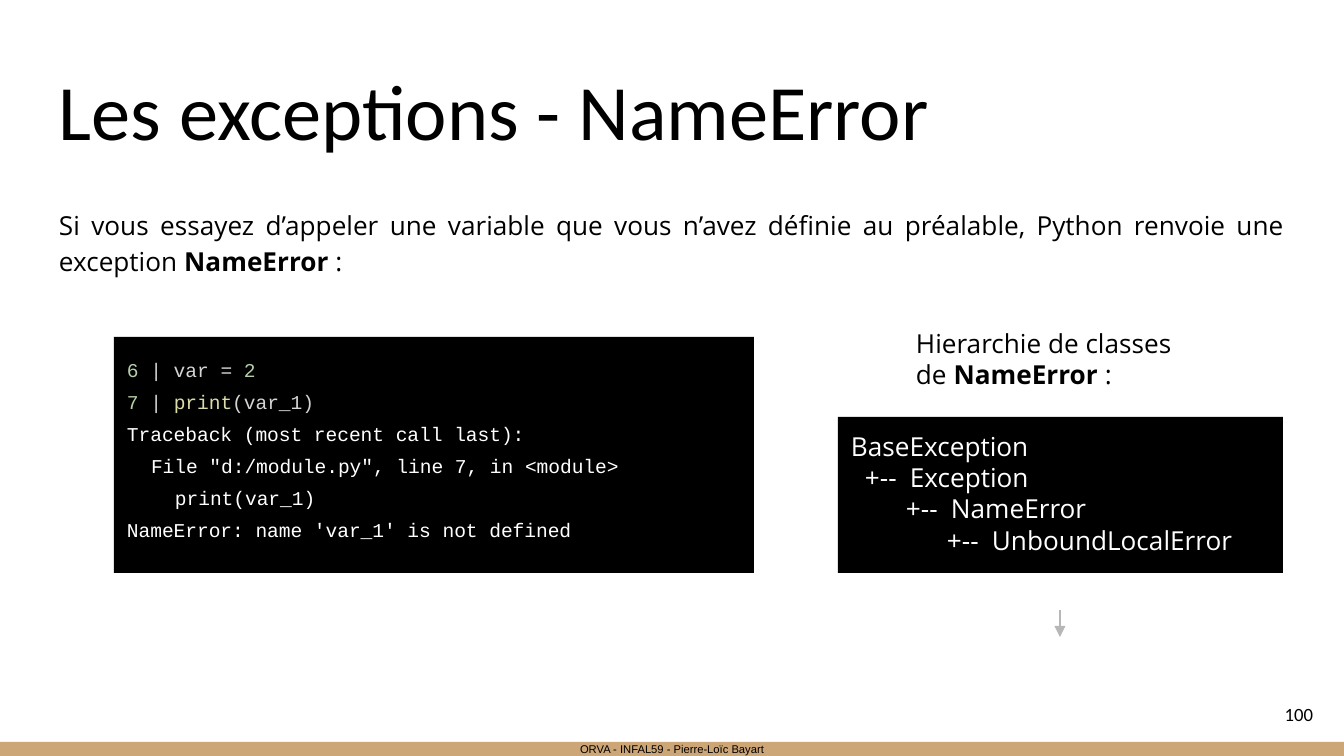
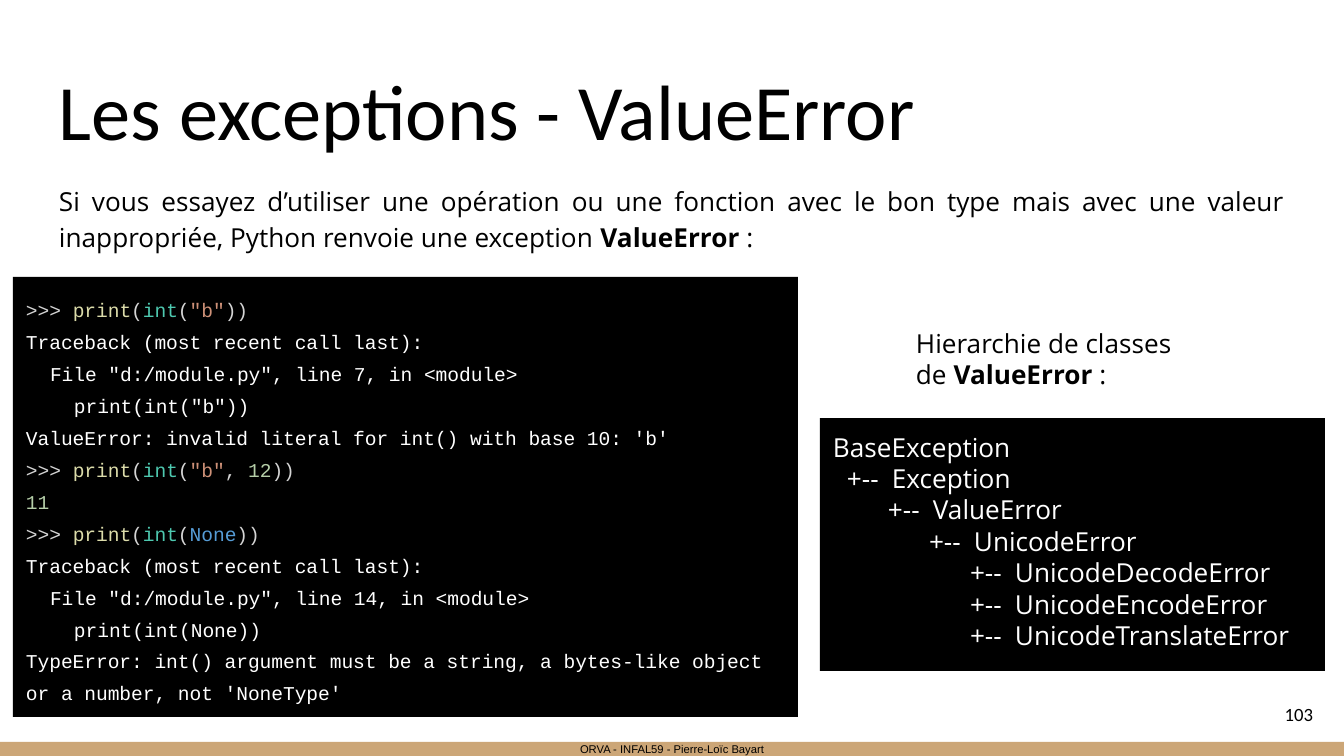
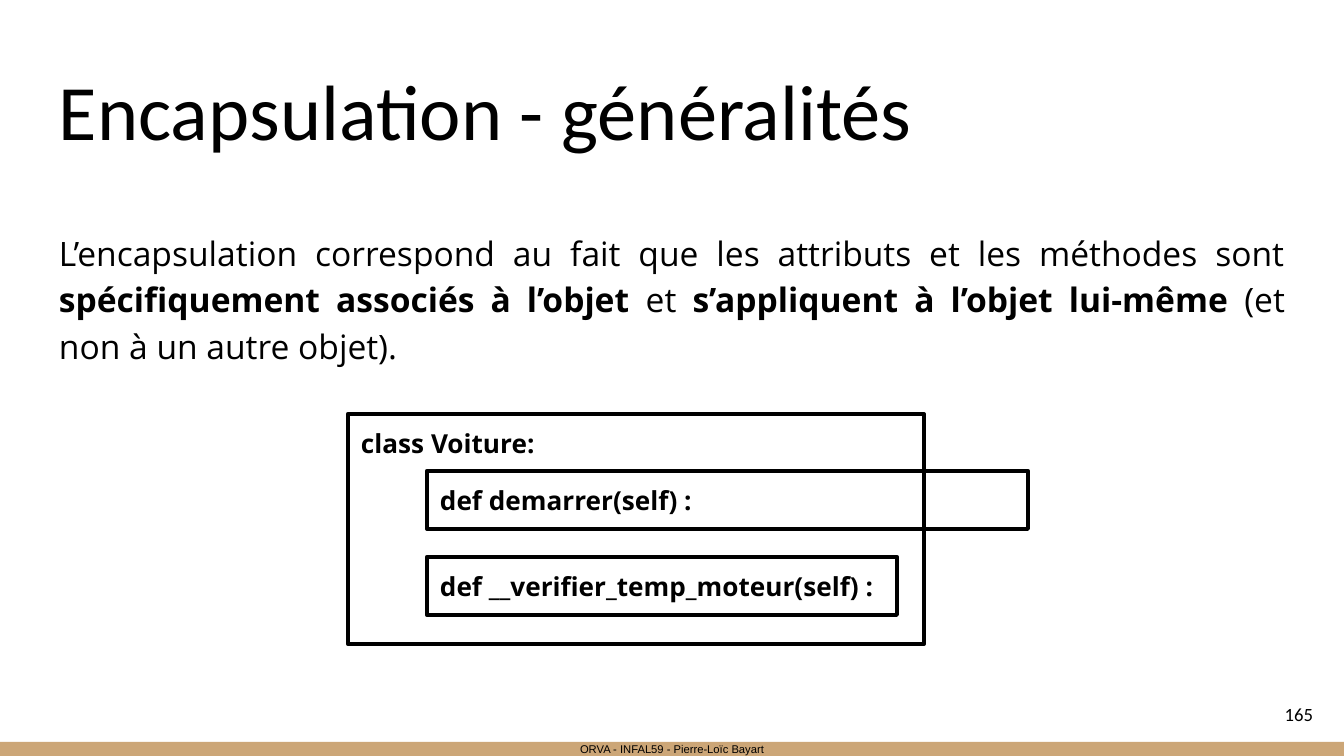
from collections import namedtuple

from lxml.etree import SubElement
from pptx import Presentation
from pptx.dml.color import RGBColor
from pptx.enum.shapes import MSO_CONNECTOR as Connector, MSO_SHAPE as Shape
from pptx.enum.text import MSO_ANCHOR as Anchor, PP_ALIGN as Align
from pptx.oxml.ns import qn
from pptx.util import Pt

EMU_PER_PX = 914400 / 134.4
SLIDE_WIDTH, SLIDE_HEIGHT = 1344, 756
INSET = 13

BLACK = RGBColor(0x00, 0x00, 0x00)
WHITE = RGBColor(0xFF, 0xFF, 0xFF)
SAND = RGBColor(0xCC, 0xA6, 0x77)
ARROW_GRAY = RGBColor(0xB7, 0xB7, 0xB7)
CODE_PLAIN = RGBColor(0xD4, 0xD4, 0xD4)
CODE_NUMBER = RGBColor(0xB5, 0xCE, 0xA8)
CODE_FUNCTION = RGBColor(0xDC, 0xDC, 0xAA)
CODE_TYPE = RGBColor(0x4E, 0xC9, 0xB0)
CODE_STRING = RGBColor(0xCE, 0x91, 0x78)
CODE_KEYWORD = RGBColor(0x56, 0x9C, 0xD6)

TITLE_FONT, BODY_FONT, CODE_FONT, FOOTER_FONT = "Calibri", "Open Sans", "Courier New", "Arial"
FOOTER = "ORVA - INFAL59 - Pierre-Loïc Bayart"

CODE_INDENT = 24
TREE_FIRST_INDENT, TREE_STEP, TREE_BRANCH = 14, 41, 45

Box = namedtuple("Box", "left top width height")
Run = namedtuple("Run", "text color bold", defaults=(None, None))
Line = namedtuple("Line", "runs indent hanging", defaults=(0, 0))


def px(length):
    return round(length * EMU_PER_PX)


def write_text(shape, lines, size=14, font=BODY_FONT, color=BLACK, bold=False,
               align=Align.LEFT, anchor=Anchor.TOP, line_spacing=1.0, space_after=0):
    frame = shape.text_frame
    frame.word_wrap = True
    frame.vertical_anchor = anchor
    frame.margin_left = frame.margin_right = px(INSET)
    frame.margin_top = frame.margin_bottom = px(INSET)
    for index, line in enumerate(lines):
        paragraph = frame.add_paragraph() if index else frame.paragraphs[0]
        paragraph.alignment = align
        paragraph.line_spacing = line_spacing
        paragraph.space_after = Pt(space_after)
        if line.indent:
            properties = paragraph._p.get_or_add_pPr()
            properties.set("marL", str(px(line.indent + line.hanging)))
            properties.set("indent", str(-px(line.hanging)))
        for part in line.runs:
            run = paragraph.add_run()
            run.text = part.text
            run.font.size = Pt(size)
            run.font.name = font
            run.font.bold = bold if part.bold is None else part.bold
            run.font.color.rgb = part.color or color


def plain(text, indent=0):
    return Line([Run(text)], indent)


def emphasized(text):
    return Line([Run(part, bold=index % 2 == 1) for index, part in enumerate(text.split("**"))])


def add_text(slide, box, lines, **text_format):
    shape = slide.shapes.add_textbox(*map(px, box))
    write_text(shape, lines, **text_format)


def add_rectangle(slide, box, lines, fill=None, line=None, **text_format):
    shape = slide.shapes.add_shape(Shape.RECTANGLE, *map(px, box))
    shape.shadow.inherit = False
    if fill is None:
        shape.fill.background()
    else:
        shape.fill.solid()
        shape.fill.fore_color.rgb = fill
    if line is None:
        shape.line.fill.background()
    else:
        shape.line.color.rgb = line
        shape.line.width = Pt(2.25)
    write_text(shape, lines, **text_format)


def add_base_slide(presentation, title, number):
    slide = presentation.slides.add_slide(presentation.slide_layouts[6])
    add_rectangle(slide, Box(0, 742, SLIDE_WIDTH, SLIDE_HEIGHT - 742), [plain(FOOTER)], fill=SAND,
                  size=6, font=FOOTER_FONT, align=Align.CENTER, anchor=Anchor.MIDDLE)
    add_text(slide, Box(46, 47, 1252, 122), [plain(title)],
             size=42, font=TITLE_FONT, anchor=Anchor.BOTTOM)
    add_text(slide, Box(1246, 685, 80, 58), [plain(str(number))],
             size=10, font=TITLE_FONT, align=Align.RIGHT, anchor=Anchor.MIDDLE)
    return slide


def add_body(slide, top, height, text, **text_format):
    add_text(slide, Box(46, top, 1252, height), [emphasized(text)],
             align=Align.JUSTIFY, line_spacing=1.15, **text_format)


def add_code(slide, box, lines):
    add_rectangle(slide, box, lines, fill=BLACK, size=10.5, font=CODE_FONT,
                  color=WHITE, line_spacing=1.36)


def add_hierarchy(slide, box, classes):
    lines = [plain("BaseException")]
    for depth, name in classes:
        indent = TREE_FIRST_INDENT + (depth - 1) * TREE_STEP
        lines.append(Line([Run(f"+--\t{name}")], indent, TREE_BRANCH))
    add_rectangle(slide, box, lines, fill=BLACK, color=WHITE)


def add_down_arrow(slide, x, top, bottom):
    arrow = slide.shapes.add_connector(Connector.STRAIGHT, px(x), px(top), px(x), px(bottom))
    arrow.line.color.rgb = ARROW_GRAY
    arrow.line.width = Pt(0.75)
    SubElement(arrow.line._get_or_add_ln(), qn("a:tailEnd"), type="triangle")
    SubElement(arrow._element.spPr, qn("a:effectLst"))


def add_exception_slide(presentation, number, error, body_top, body,
                        code_box, code, tree_box, classes):
    slide = add_base_slide(presentation, f"Les exceptions - {error}", number)
    add_body(slide, body_top, 122, f"{body} **{error}** :")
    add_code(slide, code_box, code)
    add_text(slide, Box(903, 314, 314, 89),
             [emphasized(f"Hierarchie de classes de **{error}** :")])
    add_hierarchy(slide, tree_box, classes)
    return slide


def add_class_diagram(slide, box):
    outline = {"line": BLACK, "bold": True}
    add_rectangle(slide, box, [plain("class Voiture:")], **outline)
    methods = [("def demarrer(self) :", 601), ("def __verifier_temp_moteur(self) :", 470)]
    for index, (method, width) in enumerate(methods):
        method_box = Box(box.left + 79, box.top + 57 + index * 86, width, 58)
        add_rectangle(slide, method_box, [plain(method)], **outline)


def numbered_code(number, *runs):
    return Line([Run(str(number), CODE_NUMBER), Run(" | ", CODE_PLAIN), *runs])


def print_int_prompt(*arguments):
    return Line([Run(">>> ", CODE_PLAIN), Run("print", CODE_FUNCTION), Run("(", CODE_PLAIN),
                 Run("int", CODE_TYPE), Run("(", CODE_PLAIN), *arguments, Run("))", CODE_PLAIN)])


def traceback(line_number, statement, message):
    return [plain("Traceback (most recent call last):"),
            plain(f'File "d:/module.py", line {line_number}, in <module>', CODE_INDENT),
            plain(statement, 2 * CODE_INDENT),
            plain(message)]


def add_name_error_slide(presentation):
    code = [
        numbered_code(6, Run("var = ", CODE_PLAIN), Run("2", CODE_NUMBER)),
        numbered_code(7, Run("print", CODE_FUNCTION), Run("(var_1)", CODE_PLAIN)),
        *traceback(7, "print(var_1)", "NameError: name 'var_1' is not defined"),
    ]
    slide = add_exception_slide(
        presentation, 100, "NameError", 192,
        "Si vous essayez d’appeler une variable que vous n’avez définie au préalable, "
        "Python renvoie une exception",
        Box(114, 337, 640, 236), code, Box(838, 417, 445, 156),
        [(1, "Exception"), (2, "NameError"), (3, "UnboundLocalError")])
    add_down_arrow(slide, 1060, 610, 637)


def add_value_error_slide(presentation):
    letter = Run('"b"', CODE_STRING)
    code = [
        print_int_prompt(letter),
        *traceback(7, 'print(int("b"))',
                   "ValueError: invalid literal for int() with base 10: 'b'"),
        print_int_prompt(letter, Run(", ", CODE_PLAIN), Run("12", CODE_NUMBER)),
        Line([Run("11", CODE_NUMBER)]),
        print_int_prompt(Run("None", CODE_KEYWORD)),
        *traceback(14, "print(int(None))",
                   "TypeError: int() argument must be a string, a bytes-like object "
                   "or a number, not 'NoneType'"),
    ]
    add_exception_slide(
        presentation, 103, "ValueError", 168,
        "Si vous essayez d’utiliser une opération ou une fonction avec le bon type mais "
        "avec une valeur inappropriée, Python renvoie une exception",
        Box(13, 277, 785, 440), code, Box(820, 418, 505, 253),
        [(1, "Exception"), (2, "ValueError"), (3, "UnicodeError"), (4, "UnicodeDecodeError"),
         (4, "UnicodeEncodeError"), (4, "UnicodeTranslateError")])


def add_encapsulation_slide(presentation):
    slide = add_base_slide(presentation, "Encapsulation - généralités", 165)
    add_body(slide, 214, 460,
             "L’encapsulation correspond au fait que les attributs et les méthodes sont "
             "**spécifiquement associés à l’objet** et **s’appliquent à l’objet lui-même** "
             "(et non à un autre objet).", size=18, space_after=16)
    add_class_diagram(slide, Box(348, 414, 576, 230))


def main():
    presentation = Presentation()
    presentation.slide_width = px(SLIDE_WIDTH)
    presentation.slide_height = px(SLIDE_HEIGHT)
    add_name_error_slide(presentation)
    add_value_error_slide(presentation)
    add_encapsulation_slide(presentation)
    presentation.save("out.pptx")


if __name__ == "__main__":
    main()
